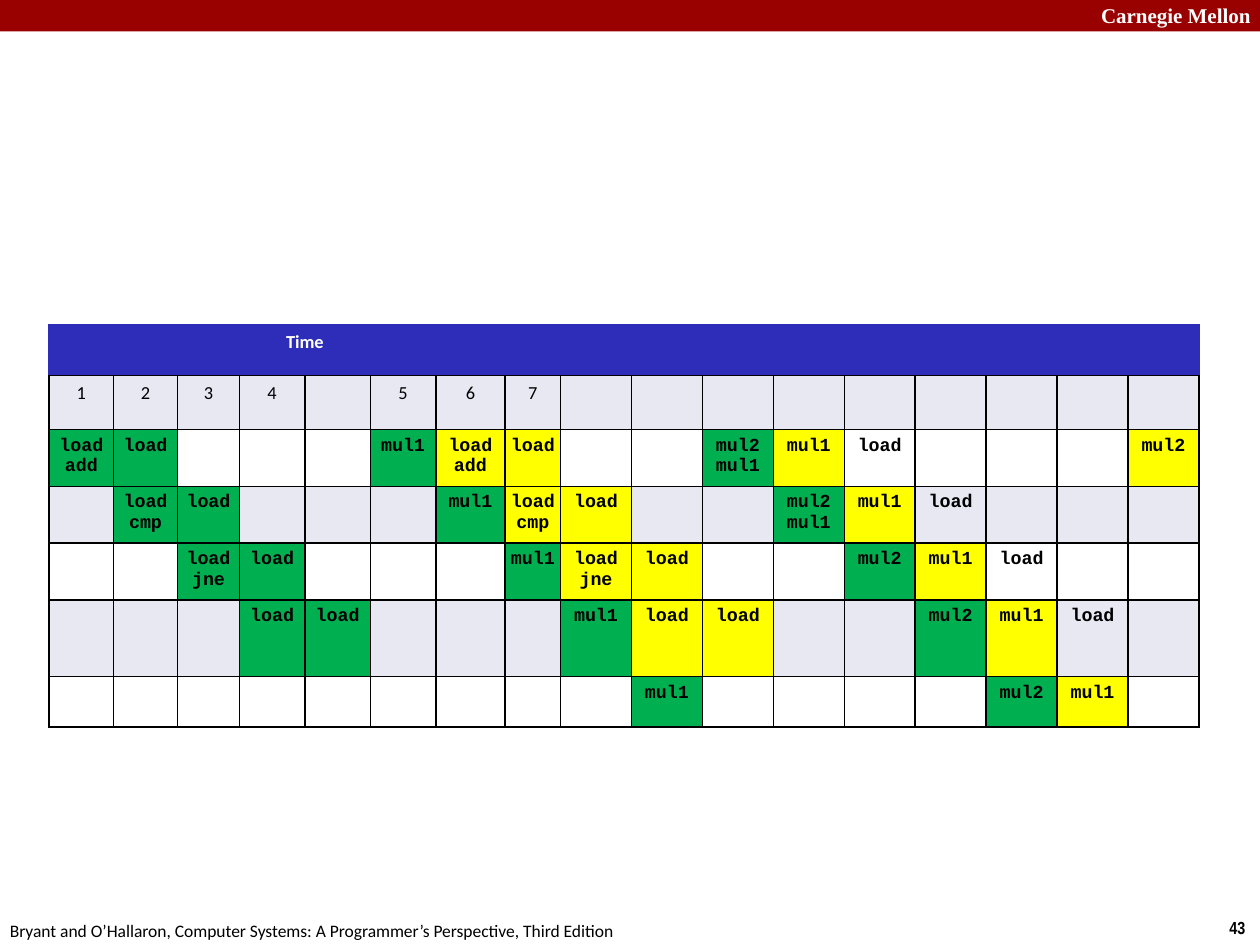
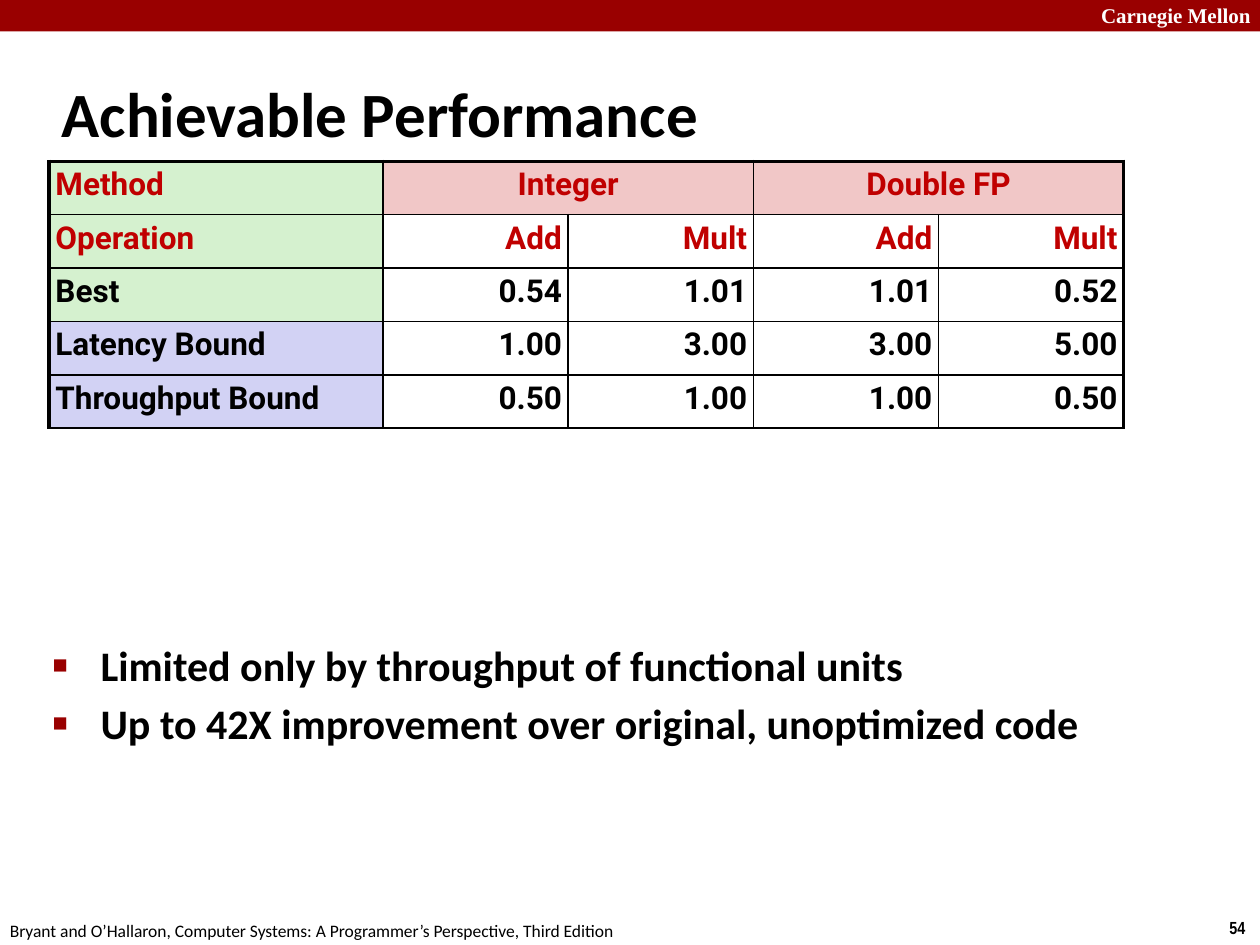
from dataclasses import dataclass

from lxml import etree
from pptx import Presentation
from pptx.dml.color import RGBColor
from pptx.enum.shapes import MSO_SHAPE
from pptx.enum.text import MSO_ANCHOR, MSO_AUTO_SIZE, PP_ALIGN
from pptx.oxml.ns import qn
from pptx.util import Inches, Pt

LEFT, CENTER, RIGHT = PP_ALIGN.LEFT, PP_ALIGN.CENTER, PP_ALIGN.RIGHT
MIDDLE = MSO_ANCHOR.MIDDLE
GROW = MSO_AUTO_SIZE.SHAPE_TO_FIT_TEXT
RECTANGLE = MSO_SHAPE.RECTANGLE
TITLE_ONLY, BLANK = 5, 6

WIDTH, HEIGHT = Inches(10), Inches(7.5)
UNIT = WIDTH / 100  # the slide is a grid of 100 columns and 75 rows


@dataclass(frozen=True)
class Theme:
    black: str = "000000"
    white: str = "FFFFFF"
    maroon: str = "990000"
    red: str = "C00000"
    header_blue: str = "2D2DB9"
    stripe: str = "E8E8F3"
    green: str = "00B050"
    yellow: str = "FFFF00"
    pale_green: str = "D5F1CF"
    pale_red: str = "F1C7C7"
    pale_blue: str = "D2D2F4"
    body_font: str = "Calibri"
    code_font: str = "Courier New"
    data_font: str = "Roboto"
    number_font: str = "Arial Narrow"
    brand_font: str = "Times New Roman"
    title_size: float = 36
    body_size: float = 24
    data_size: float = 18
    brand_size: float = 12
    schedule_size: float = 10.5
    footer_size: float = 10
    thin: float = 1
    thick: float = 2.25


THEME = Theme()


def grid(*lengths):
    """Turn grid columns or rows into slide lengths."""
    return [round(length * UNIT) for length in lengths]


def color(value):
    return RGBColor.from_string(value)


# Text

def add_bullet(properties):
    bullet_color = etree.SubElement(properties, qn("a:buClr"))
    etree.SubElement(bullet_color, qn("a:srgbClr"), val=THEME.maroon)
    etree.SubElement(properties, qn("a:buSzPct"), val="60000")
    etree.SubElement(properties, qn("a:buFont"), typeface="Arial")
    etree.SubElement(properties, qn("a:buChar"), char="■")


def write(text_frame, text, *, size, font=THEME.body_font, ink=THEME.black,
          bold=False, align=LEFT, hanging=0, bullet=False, gap=0,
          line_spacing=None):
    """Fill a text frame, one paragraph for each line of the text."""
    for index, line in enumerate(text.split("\n")):
        paragraph = text_frame.paragraphs[0] if index == 0 else text_frame.add_paragraph()
        properties = paragraph._p.get_or_add_pPr()
        if hanging:
            indent = grid(hanging)[0]
            properties.set("marL", str(indent))
            properties.set("indent", str(-indent))
        if bullet:
            add_bullet(properties)
        paragraph.alignment = align
        if line_spacing:
            paragraph.line_spacing = line_spacing
        if index and gap:
            paragraph.space_before = Pt(gap)
        run = paragraph.add_run()
        run.text = line
        run.font.name, run.font.size, run.font.bold = font, Pt(size), bold
        run.font.color.rgb = color(ink)


def add_text(slide, text, place, wrap=True, grow=True, **text_format):
    text_frame = slide.shapes.add_textbox(*grid(*place)).text_frame
    text_frame.word_wrap = wrap
    if grow:
        text_frame.auto_size = GROW
    write(text_frame, text, **text_format)


# Parts that all slides share

def add_slide(presentation, layout, number):
    slide = presentation.slides.add_slide(presentation.slide_layouts[layout])
    band = slide.shapes.add_shape(RECTANGLE, *grid(0, 0, 100, 2.5))
    band.shadow.inherit = False
    band.fill.solid()
    band.fill.fore_color.rgb = color(THEME.maroon)
    band.line.fill.background()
    add_text(slide, "Carnegie Mellon", (86.4, -0.3, 14.3, 3), bold=True,
             size=THEME.brand_size, font=THEME.brand_font, ink=THEME.white)
    add_text(slide, str(number), (96.6, 72.3, 3.4, 2.7), wrap=False, bold=True,
             size=THEME.footer_size, font=THEME.number_font)
    add_text(slide, "Bryant and O’Hallaron, Computer Systems: "
             "A Programmer’s Perspective, Third Edition",
             (-0.2, 72.5, 50.8, 2.7), wrap=False, size=THEME.footer_size)
    return slide


def set_title(slide, text):
    title = slide.shapes.title
    title.left, title.top, title.width, title.height = grid(3.9, 4.8, 83, 8.3)
    title.text_frame.vertical_anchor = MIDDLE
    write(title.text_frame, text, size=THEME.title_size, bold=True, hanging=1.3)


# Tables

def add_grid_table(slide, left, top, columns, rows):
    place = grid(left, top, sum(columns), sum(rows))
    table = slide.shapes.add_table(len(rows), len(columns), *place).table
    table.first_row = table.horz_banding = False
    for column, width in zip(table.columns, grid(*columns)):
        column.width = width
    for row, height in zip(table.rows, grid(*rows)):
        row.height = height
    return table


def style_cell(cell, fill, borders, side_margin):
    """Set borders (side: (colour, width)), then the fill and margins."""
    properties = cell._tc.get_or_add_tcPr()
    for side in "LRTB":
        ink, width = borders.get(side, (THEME.black, THEME.thin))
        line = etree.SubElement(properties, qn(f"a:ln{side}"), w=str(Pt(width)))
        solid = etree.SubElement(line, qn("a:solidFill"))
        etree.SubElement(solid, qn("a:srgbClr"), val=ink)
    cell.fill.solid()
    cell.fill.fore_color.rgb = color(fill)
    cell.margin_left = cell.margin_right = grid(side_margin)[0]
    cell.margin_top = cell.margin_bottom = grid(0.5)[0]


def pipeline_cells():
    """Map (stage, column) to the text and fill of each busy cell."""
    green, yellow = THEME.green, THEME.yellow
    cells = {}
    for stage, second in enumerate(("\nadd", "\ncmp", "\njne", "")):
        for start, fill in ((0, green), (6, yellow)):
            cells[stage, stage + start] = ("load" + second, fill)
            cells[stage, stage + start + 1] = ("load", fill)
        cells[stage, stage + 12] = ("load", None)
    for stage in range(5):
        next_multiply = "\nmul1" if stage < 2 else ""
        cells[stage, stage + 5] = ("mul1", green)
        cells[stage, stage + 10] = ("mul2" + next_multiply, green)
        cells[stage, stage + 11] = ("mul1", yellow)
    cells[0, 16] = ("mul2", yellow)
    return cells


def add_schedule(slide):
    columns = [5.1, 5.1, 4.9, 5.2, 5.2, 5.2, 5.5, 4.4] + [5.63] * 9
    rows = [4, 4.3, 4.5, 4.5, 4.5, 6.1, 4]
    table = add_grid_table(slide, 3.9, 25.8, columns, rows)
    blue_edge = (THEME.header_blue, THEME.thin)
    header_borders = {side: blue_edge for side in "LRT"}
    times = dict(zip((0, 1, 2, 3, 5, 6, 7), "1234567"))
    busy = pipeline_cells()
    table.cell(0, 0).merge(table.cell(0, 7))
    for row in range(len(rows)):
        stripe = THEME.stripe if row % 2 else THEME.white
        for column in range(len(columns)):
            text, fill = busy.get((row - 2, column), ("", None))
            text_format = {"font": THEME.code_font, "bold": True}
            borders = {}
            if row == 0:
                text, fill = "Time" if column == 0 else "", THEME.header_blue
                text_format = {"ink": THEME.white, "bold": True}
                borders = header_borders
            elif row == 1:
                text, text_format = times.get(column, ""), {}
                borders = {}
            cell = table.cell(row, column)
            style_cell(cell, fill or stripe, borders, side_margin=0)
            if text:
                write(cell.text_frame, text, size=THEME.schedule_size,
                      align=CENTER, **text_format)


def add_performance(slide):
    contents = [
        ("Method", "Integer", "", "Double FP", ""),
        ("Operation", "Add", "Mult", "Add", "Mult"),
        ("Best", "0.54", "1.01", "1.01", "0.52"),
        ("Latency Bound", "1.00", "3.00", "3.00", "5.00"),
        ("Throughput Bound", "0.50", "1.00", "1.00", "0.50"),
    ]
    table = add_grid_table(slide, 3.9, 12.8, [26.5] + [14.7] * 4, [4.24] * 5)
    for column in (1, 3):
        table.cell(0, column).merge(table.cell(0, column + 1))
    thick_edge = (THEME.black, THEME.thick)
    for row, texts in enumerate(contents):
        for column, text in enumerate(texts):
            cell = table.cell(row, column)
            last = column + (cell.span_width if cell.is_merge_origin else 1)
            outer = {"L": column == 0, "R": last == len(texts), "T": row == 0}
            borders = {side: thick_edge for side, on_edge in outer.items() if on_edge}
            if column == 0:
                fill = THEME.pale_green if row < 3 else THEME.pale_blue
                align = LEFT
            else:
                fill = THEME.white if row else THEME.pale_red
                align = RIGHT if row else CENTER
            style_cell(cell, fill, borders, side_margin=0.5)
            if text:
                write(cell.text_frame, text, size=THEME.data_size, bold=True,
                      font=THEME.data_font, align=align, line_spacing=0.95,
                      ink=THEME.red if row < 2 else THEME.black)


def main():
    presentation = Presentation()
    presentation.slide_width, presentation.slide_height = WIDTH, HEIGHT

    # Pipeline schedule
    add_schedule(add_slide(presentation, BLANK, 43))

    # Achievable performance
    slide = add_slide(presentation, TITLE_ONLY, 54)
    set_title(slide, "Achievable Performance")
    add_text(slide, "Limited only by throughput of functional units\n"
             "Up to 42X improvement over original, unoptimized code",
             (3.2, 50.3, 90.9, 20.5), grow=False, size=THEME.body_size,
             bold=True, hanging=3.8, bullet=True, gap=4)
    add_performance(slide)

    presentation.save("out.pptx")


if __name__ == "__main__":
    main()
